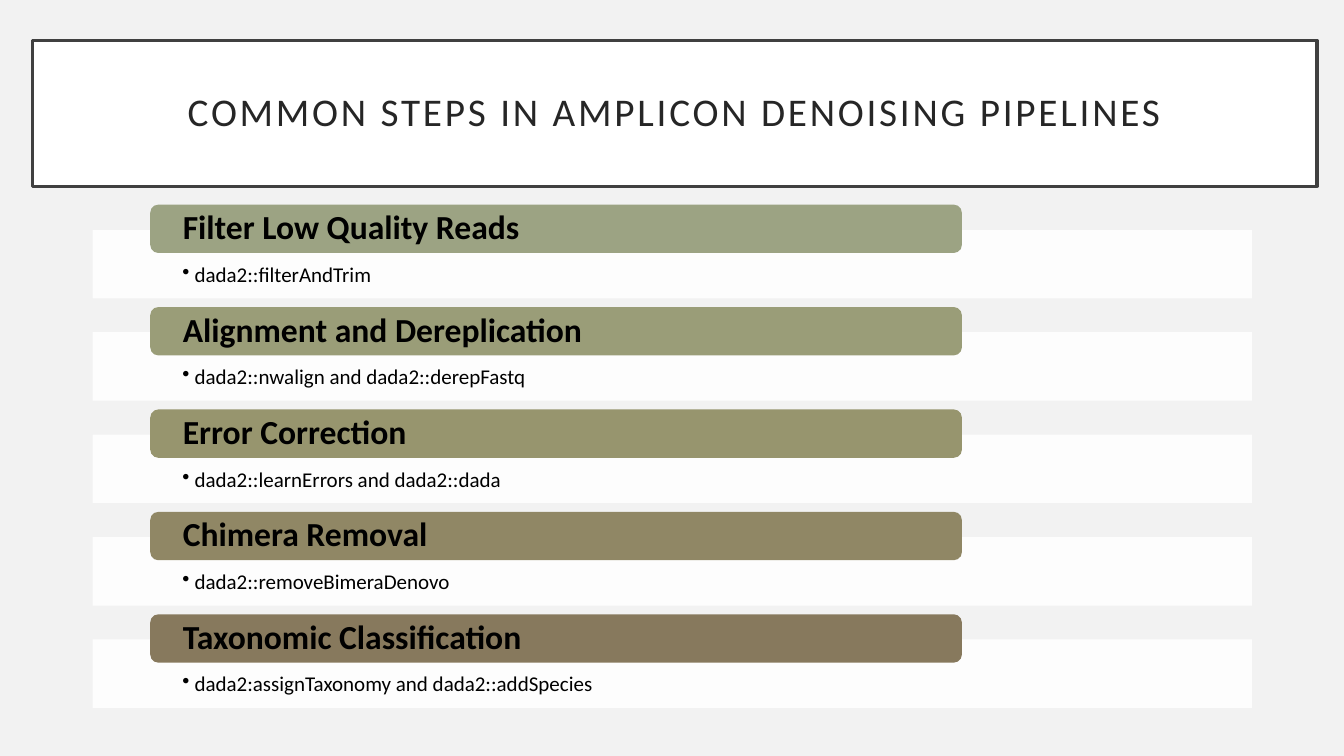
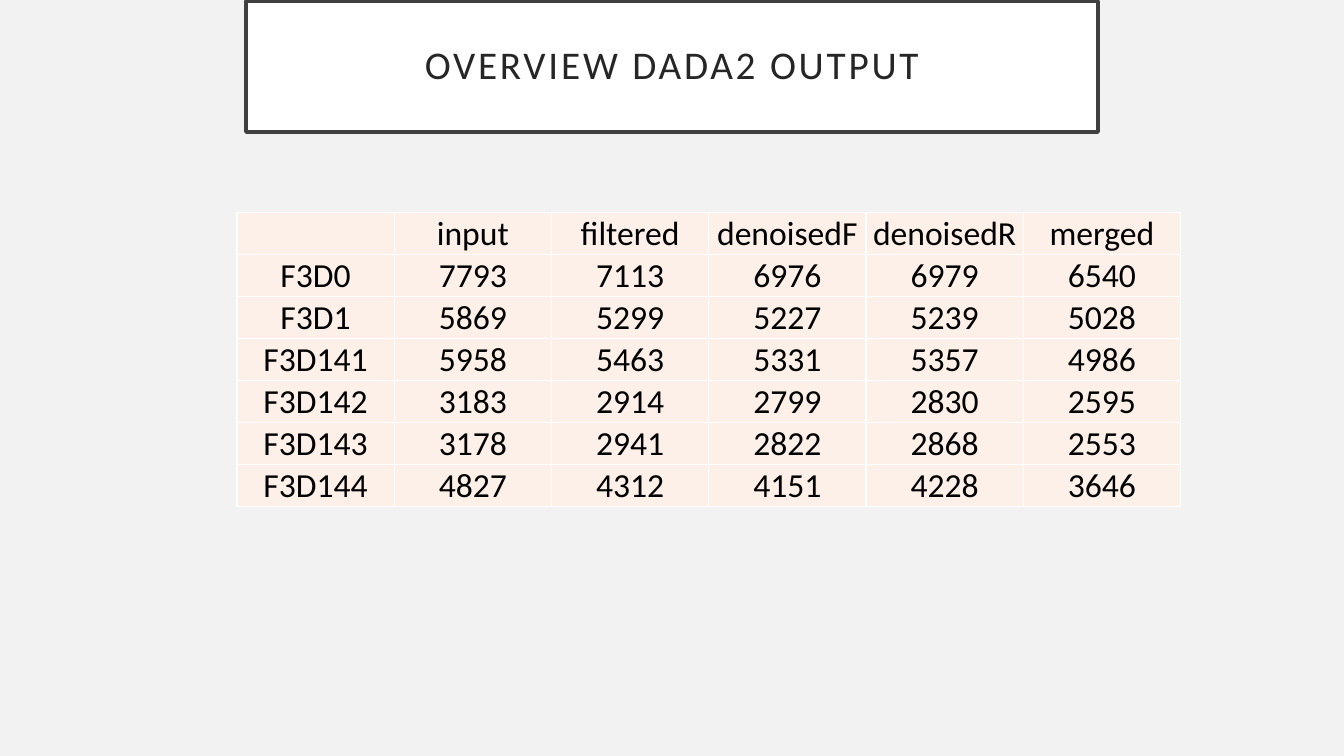
from pptx import Presentation
from pptx.dml.color import RGBColor
from pptx.enum.shapes import MSO_SHAPE
from pptx.enum.text import MSO_ANCHOR, MSO_AUTO_SIZE, PP_ALIGN
from pptx.oxml import parse_xml
from pptx.oxml.ns import nsdecls
from pptx.util import Inches, Pt

FONT = "Calibri"
PAPER, WHITE, BLACK = "F2F2F2", "FFFFFF", "000000"
FRAME, TITLE_INK, CELL_FILL = "404040", "262626", "FDF0E8"


def paint(fill, color):
    fill.solid()
    fill.fore_color.rgb = RGBColor.from_string(color)


def write(frame, words, size, color=BLACK, insets=(0, 0, 0, 0),
          anchor=MSO_ANCHOR.MIDDLE, align=PP_ALIGN.LEFT, bold=False):
    """Fill the first paragraph of a text frame and return it with its span."""
    frame.word_wrap = True
    frame.auto_size = MSO_AUTO_SIZE.NONE
    frame.vertical_anchor = anchor
    frame.margin_left, frame.margin_top, frame.margin_right, frame.margin_bottom = map(Inches, insets)
    para = frame.paragraphs[0]
    para.alignment = align
    para.line_spacing = 0.9
    span = para.add_run()
    span.text = words
    span.font.name, span.font.size, span.font.bold = FONT, Pt(size), bold
    paint(span.font.fill, color)
    return para, span


deck = Presentation()
deck.slide_width, deck.slide_height = Inches(13.33), Inches(7.5)
paint(deck.slide_master.background.fill, PAPER)

# Slides with their framed titles
titles = [
    ("COMMON STEPS IN AMPLICON DENOISING PIPELINES", (0.32, 0.4, 12.74, 1.45)),
    ("OVERVIEW DADA2 OUTPUT", (2.44, 0.01, 8.45, 1.3)),
]
pages = []
for words, place in titles:
    page = deck.slides.add_slide(deck.slide_layouts[5])
    title = page.shapes.title
    title.left, title.top, title.width, title.height = map(Inches, place)
    paint(title.fill, WHITE)
    paint(title.line.fill, FRAME)
    title.line.width = Pt(2.5)
    para, span = write(title.text_frame, words, 28, TITLE_INK, (0.2, 0.2, 0.2, 0.2),
                       align=PP_ALIGN.CENTER)
    span.font._element.set("spc", "200")
    pages.append(page)
steps_page, output_page = pages

# Pipeline steps: a pale card with a coloured heading over its top edge
steps = [
    ("Filter Low Quality Reads", "dada2::filterAndTrim", "9CA383"),
    ("Alignment and Dereplication", "dada2::nwalign and dada2::derepFastq", "9A9D78"),
    ("Error Correction", "dada2::learnErrors and dada2::dada", "97956E"),
    ("Chimera Removal", "dada2::removeBimeraDenovo", "908765"),
    ("Taxonomic Classification", "dada2:assignTaxonomy and dada2::addSpecies", "87795D"),
]
STEP_TOP, STEP_PITCH = 2.03, 1.016
for row, (heading, functions, color) in enumerate(steps):
    top = STEP_TOP + row * STEP_PITCH
    card = steps_page.shapes.add_shape(
        MSO_SHAPE.RECTANGLE, Inches(0.92), Inches(top + 0.25), Inches(11.5), Inches(0.68))
    band = steps_page.shapes.add_shape(
        MSO_SHAPE.ROUNDED_RECTANGLE, Inches(1.49), Inches(top), Inches(8.05), Inches(0.48))
    for box, fill in ((card, WHITE), (band, color)):
        box.shadow.inherit = False
        box.line.fill.background()
        paint(box.fill, fill)

    # Card: 90 % opaque, one bullet
    card_color = card.fill._xPr.solidFill[0]
    card_color.append(parse_xml(f'<a:alpha {nsdecls("a")} val="90000"/>'))
    para, span = write(card.text_frame, functions, 15, insets=(0.89, 0.34, 0.89, 0.12),
                       anchor=MSO_ANCHOR.TOP)
    bullet = para._p.get_or_add_pPr()
    bullet.set("marL", str(Inches(0.12)))
    bullet.set("indent", str(-Inches(0.12)))
    bullet.append(parse_xml(f'<a:buChar {nsdecls("a")} char="•"/>'))

    write(band.text_frame, heading, 24, insets=(0.3, 0, 0.3, 0), bold=True)

# Table of read counts
reads = [
    ("", "input", "filtered", "denoisedF", "denoisedR", "merged"),
    ("F3D0", 7793, 7113, 6976, 6979, 6540),
    ("F3D1", 5869, 5299, 5227, 5239, 5028),
    ("F3D141", 5958, 5463, 5331, 5357, 4986),
    ("F3D142", 3183, 2914, 2799, 2830, 2595),
    ("F3D143", 3178, 2941, 2822, 2868, 2553),
    ("F3D144", 4827, 4312, 4151, 4228, 3646),
]
table = output_page.shapes.add_table(
    len(reads), len(reads[0]), Inches(2.35), Inches(2.11), Inches(9.36), Inches(2.92)).table
table.first_row = table.horz_banding = False
for row, values in enumerate(reads):
    for column, value in enumerate(values):
        cell = table.cell(row, column)
        cell.vertical_anchor = MSO_ANCHOR.BOTTOM
        cell.margin_left = cell.margin_top = cell.margin_right = Inches(0.01)
        cell.margin_bottom = 0
        para = cell.text_frame.paragraphs[0]
        para.alignment = PP_ALIGN.CENTER
        if value:
            span = para.add_run()
            span.text = str(value)
            span.font.name, span.font.size = FONT, Pt(24)
            paint(span.font.fill, BLACK)
        borders = cell._tc.get_or_add_tcPr()
        for side in ("lnL", "lnR", "lnT", "lnB"):
            borders.append(parse_xml(
                f'<a:{side} {nsdecls("a")} w="{Pt(1)}"><a:solidFill>'
                f'<a:srgbClr val="{WHITE}"/></a:solidFill></a:{side}>'))
        paint(cell.fill, CELL_FILL)

deck.save("out.pptx")
